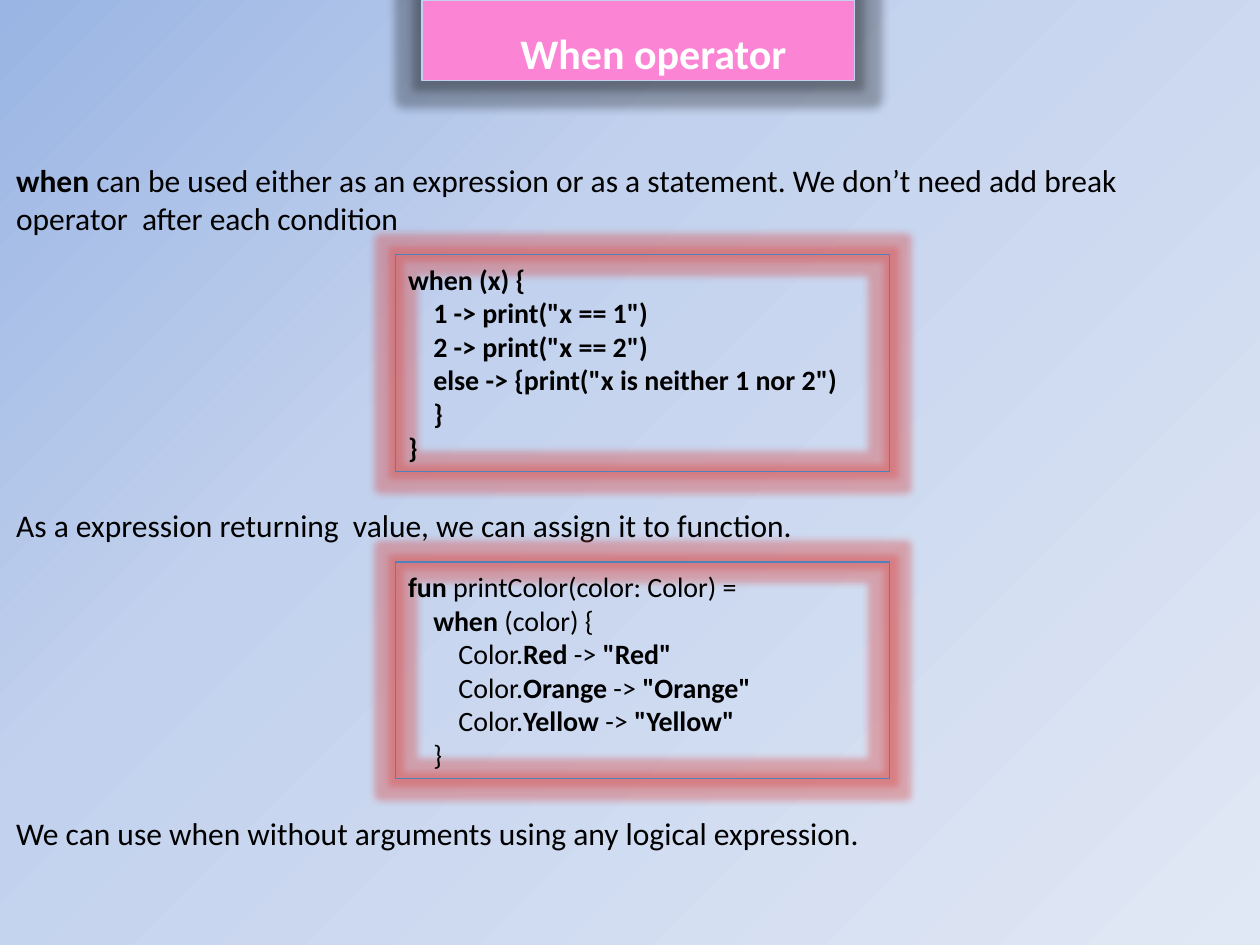
from copy import deepcopy
from lxml.etree import SubElement
from pptx import Presentation
from pptx.dml.color import RGBColor
from pptx.enum.shapes import MSO_SHAPE
from pptx.enum.text import MSO_ANCHOR, PP_ALIGN
from pptx.oxml.ns import qn
from pptx.util import Inches, Pt

FONT = "Calibri"
INK = "000000"
CODE_INDENT = 0.2
BODY_GAP = 154


def color(hex_string):
    return RGBColor.from_string(hex_string)


def add_runs(paragraph, runs, size, ink):
    for text, bold in runs:
        run = paragraph.add_run()
        run.text = text
        run.font.name = FONT
        run.font.size = Pt(size)
        run.font.bold = bold
        run.font.color.rgb = color(ink)


def paragraphs_of(frame, count):
    return [frame.paragraphs[0]] + [frame.add_paragraph() for _ in range(count - 1)]


def add_glow(shape, hex_string, radius, opacity):
    properties = shape.element.spPr
    for effects in properties.findall(qn("a:effectLst")):
        properties.remove(effects)
    effects = SubElement(properties, qn("a:effectLst"))
    glow = SubElement(effects, qn("a:glow"), rad=str(Inches(radius)))
    tint = SubElement(glow, qn("a:srgbClr"), val=hex_string)
    SubElement(tint, qn("a:alpha"), val=str(opacity * 1000))


def add_panel(slide, box, line):
    panel = slide.shapes.add_shape(MSO_SHAPE.RECTANGLE, *map(Inches, box))
    panel.shadow.inherit = False
    panel.line.color.rgb = color(line)
    panel.line.width = Pt(0.75)
    panel.text_frame.word_wrap = True
    return panel


def paint_background(slide, stops):
    fill = slide.background.fill
    fill.gradient()
    fill.gradient_angle = 315
    stop_list = next(slide.element.iter(qn("a:gsLst")))
    while len(stop_list) < len(stops):
        stop_list.append(deepcopy(stop_list[0]))
    for stop, (position, hex_string) in zip(fill.gradient_stops, stops):
        stop.position = position
        stop.color.rgb = color(hex_string)


def add_title(slide, box, title):
    banner = add_panel(slide, box, "C2D1ED")
    banner.fill.solid()
    banner.fill.fore_color.rgb = color("FC84D4")
    add_glow(banner, INK, 0.15, 28)
    frame = banner.text_frame
    frame.margin_left = Inches(0.78)
    frame.vertical_anchor = MSO_ANCHOR.MIDDLE
    paragraph = frame.paragraphs[0]
    paragraph.alignment = PP_ALIGN.LEFT
    paragraph.line_spacing = 1.5
    add_runs(paragraph, [(title, True)], 24, "FFFFFF")


def add_body(slide, box, statements):
    frame = slide.shapes.add_textbox(*map(Inches, box)).text_frame
    frame.word_wrap = True
    for index, paragraph in enumerate(paragraphs_of(frame, len(statements))):
        if index:
            paragraph.space_before = Pt(BODY_GAP)
        add_runs(paragraph, statements[index], 18, INK)


def add_code(slide, box, code):
    panel = add_panel(slide, box, "4F81BD")
    panel.fill.background()
    add_glow(panel, "DA4A46", 0.11, 40)
    frame = panel.text_frame
    frame.vertical_anchor = MSO_ANCHOR.MIDDLE
    for paragraph, (level, runs) in zip(paragraphs_of(frame, len(code)), code):
        paragraph.alignment = PP_ALIGN.LEFT
        properties = paragraph._p.get_or_add_pPr()
        properties.set("marL", str(Inches(level * CODE_INDENT)))
        properties.set("indent", "0")
        add_runs(paragraph, runs, 16, INK)


statements = [
    [("when", True),
     (" can be used either as an expression or as a statement. We don’t need add "
      "break operator  after each condition", False)],
    [("As a expression returning  value, we can assign it to function.", False)],
    [("We can use when without arguments using any logical expression.", False)],
]
statement_code = [
    (level, [(text, True)])
    for level, text in [
        (0, "when (x) {"),
        (1, '1 -> print("x == 1")'),
        (1, '2 -> print("x == 2")'),
        (1, 'else -> {print("x is neither 1 nor 2")'),
        (1, "}"),
        (0, "}"),
    ]
]
expression_code = [
    (0, [("fun ", True), ("printColor(color: Color) =", False)]),
    (1, [("when ", True), ("(color) {", False)]),
    *[(2, [("Color.", False), (f"{name} ", True), ("-> ", False), (f'"{name}"', True)])
      for name in ("Red", "Orange", "Yellow")],
    (1, [("}", False)]),
]

presentation = Presentation()
presentation.slide_width = Inches(10)
presentation.slide_height = Inches(7.5)
slide = presentation.slides.add_slide(presentation.slide_layouts[6])
paint_background(slide, [(0, "9AB5E4"), (0.37, "C2D1ED"), (1, "E1E8F5")])
add_title(slide, (3.35, 0, 3.43, 0.64), "When operator")
add_body(slide, (0.03, 1.23, 9.77, 5.86), statements)
for top, code in ((2.02, statement_code), (4.46, expression_code)):
    add_code(slide, (3.14, top, 3.92, 1.72), code)
presentation.save("out.pptx")
